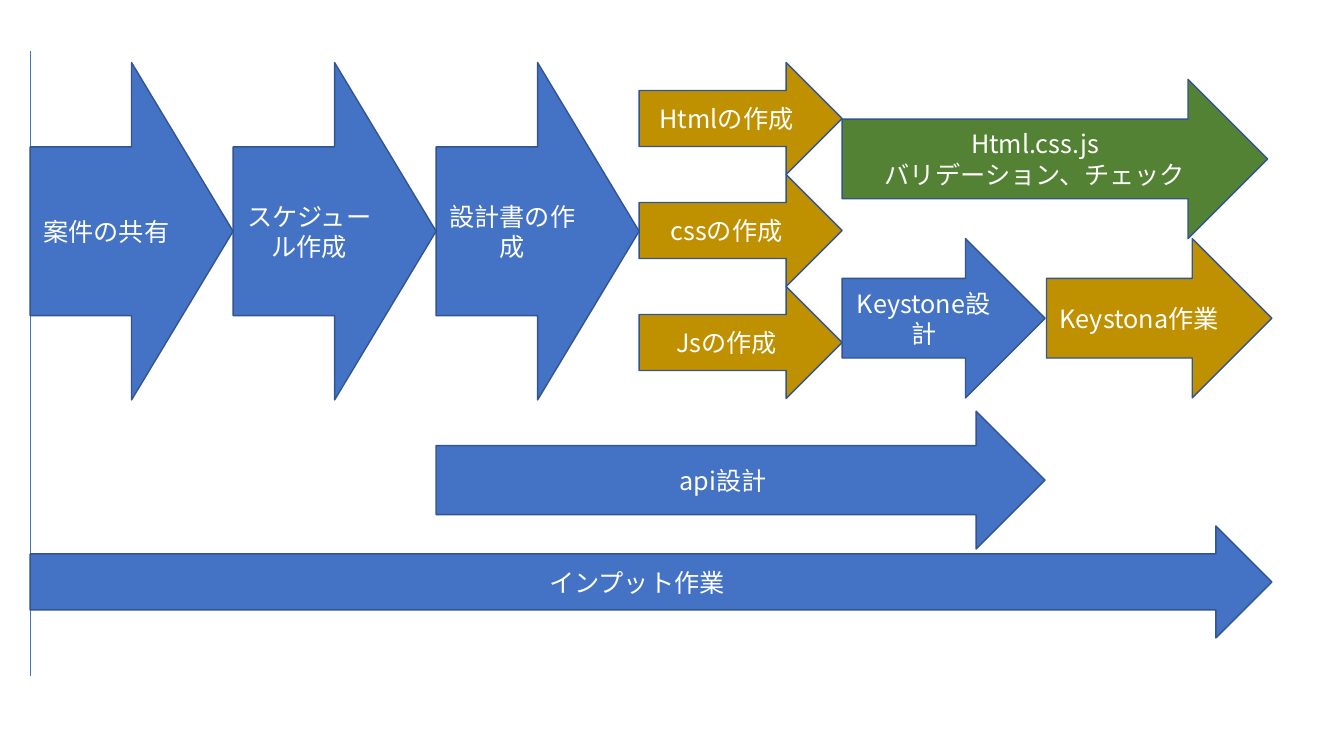
from collections import namedtuple

from lxml.etree import SubElement
from pptx import Presentation
from pptx.dml.color import RGBColor
from pptx.enum.shapes import MSO_CONNECTOR, MSO_SHAPE
from pptx.enum.text import MSO_ANCHOR, PP_ALIGN
from pptx.oxml.ns import qn
from pptx.util import Pt

BLUE = RGBColor(0x44, 0x72, 0xC4)
GOLD = RGBColor(0xBF, 0x90, 0x00)
GREEN = RGBColor(0x54, 0x82, 0x35)
OUTLINE = RGBColor(0x32, 0x54, 0x91)
WHITE = RGBColor(0xFF, 0xFF, 0xFF)
FONT = "Noto Sans CJK JP"
COLUMN = 145

Box = namedtuple("Box", "left top width height")


def add_text(paragraph, text):
    paragraph.alignment = PP_ALIGN.CENTER
    run = paragraph.add_run()
    run.text = text
    run.font.size = Pt(18)
    run.font.name = FONT
    run.font.color.rgb = WHITE
    SubElement(run.font._element, qn("a:ea"), typeface=FONT)


def add_arrow(slide, box, color, *lines):
    shape = slide.shapes.add_shape(MSO_SHAPE.RIGHT_ARROW, *map(Pt, box))
    shape.shadow.inherit = False
    shape.fill.solid()
    shape.fill.fore_color.rgb = color
    shape.line.color.rgb = OUTLINE
    shape.line.width = Pt(1)
    frame = shape.text_frame
    frame.word_wrap = True
    frame.vertical_anchor = MSO_ANCHOR.MIDDLE
    for index, text in enumerate(lines):
        paragraph = frame.add_paragraph() if index else frame.paragraphs[0]
        add_text(paragraph, text)


def add_start_line(slide, box):
    line = slide.shapes.add_connector(
        MSO_CONNECTOR.STRAIGHT, Pt(box.left), Pt(box.top),
        Pt(box.left), Pt(box.top + box.height))
    line.line.color.rgb = BLUE
    line.line.width = Pt(0.5)
    SubElement(line._element.spPr, qn("a:effectLst"))


def add_planning(slide, box):
    steps = ("案件の共有", "スケジュール作成", "設計書の作成")
    width = box.width / len(steps)
    for index, text in enumerate(steps):
        step = Box(box.left + index * width, box.top, width, box.height)
        add_arrow(slide, step, BLUE, text)


def add_coding(slide, box):
    tasks = ("Htmlの作成", "cssの作成", "Jsの作成")
    height = box.height / len(tasks)
    for index, text in enumerate(tasks):
        task = Box(box.left, box.top + index * height, box.width, height)
        add_arrow(slide, task, GOLD, text)


def add_checking(slide, box):
    height = box.height / 2
    middle = box.top + height
    work_left = box.left + COLUMN + 1
    add_arrow(slide, Box(box.left, box.top, box.width - 3, height), GREEN,
              "Html.css.js", "バリデーション、チェック")
    add_arrow(slide, Box(work_left, middle, box.left + box.width - work_left, height),
              GOLD, "Keystona作業")
    add_arrow(slide, Box(box.left, middle, COLUMN, height), BLUE, "Keystone設計")


def add_parallel_work(slide, box):
    add_arrow(slide, Box(box.left, box.top + 82, box.width, 80), BLUE, "インプット作業")
    add_arrow(slide, Box(box.left + 2 * COLUMN, box.top, 3 * COLUMN, 98.5),
              BLUE, "api設計")


def add_process_slide(presentation, box):
    slide = presentation.slides.add_slide(presentation.slide_layouts[6])
    left, top, width, height = box
    add_start_line(slide, Box(left, top, 0, height))
    add_planning(slide, Box(left, top + 8, 3 * COLUMN, 241))
    add_coding(slide, Box(left + 3 * COLUMN, top + 8, COLUMN, 240))
    add_checking(slide, Box(left + 4 * COLUMN, top + 20, width - 4 * COLUMN, 227.5))
    add_parallel_work(slide, Box(left, top + 257, width, 162))


presentation = Presentation()
presentation.slide_width = Pt(960)
presentation.slide_height = Pt(540)
add_process_slide(presentation, Box(21.5, 36.7, 887, 446))
presentation.save("out.pptx")
